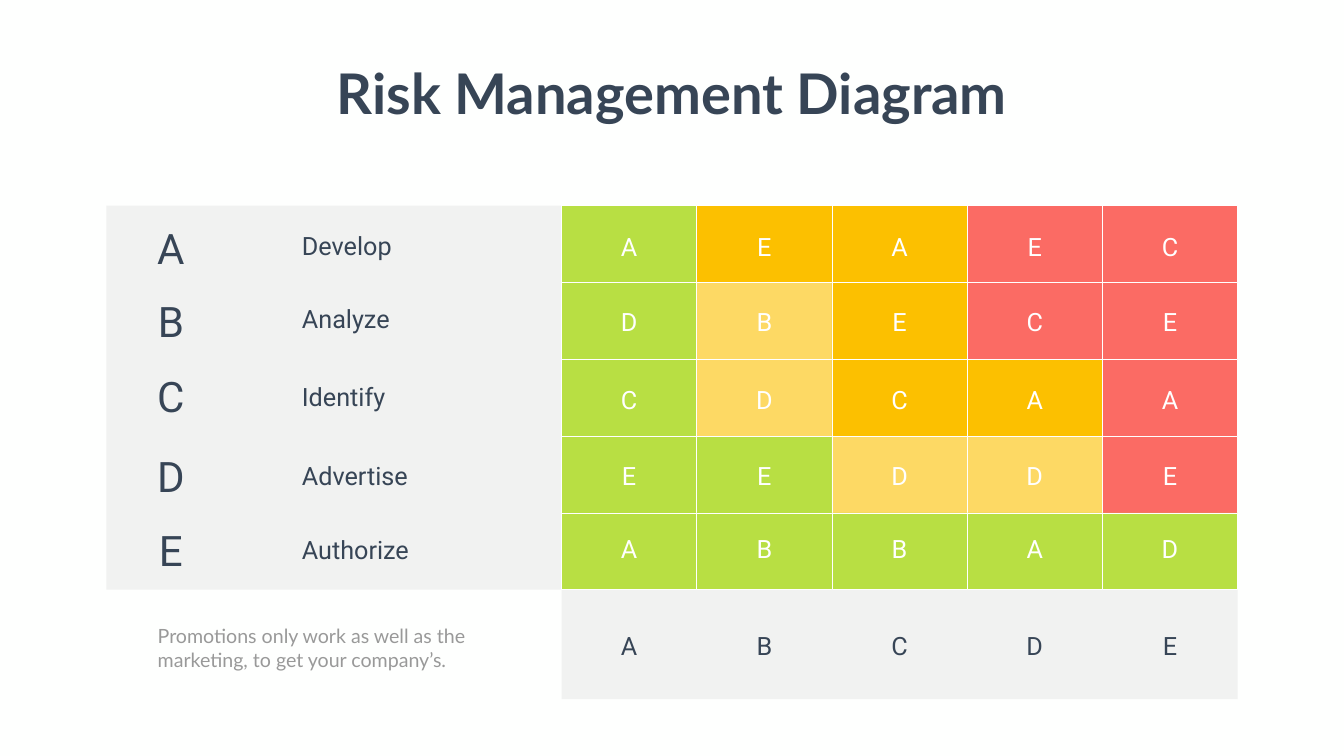
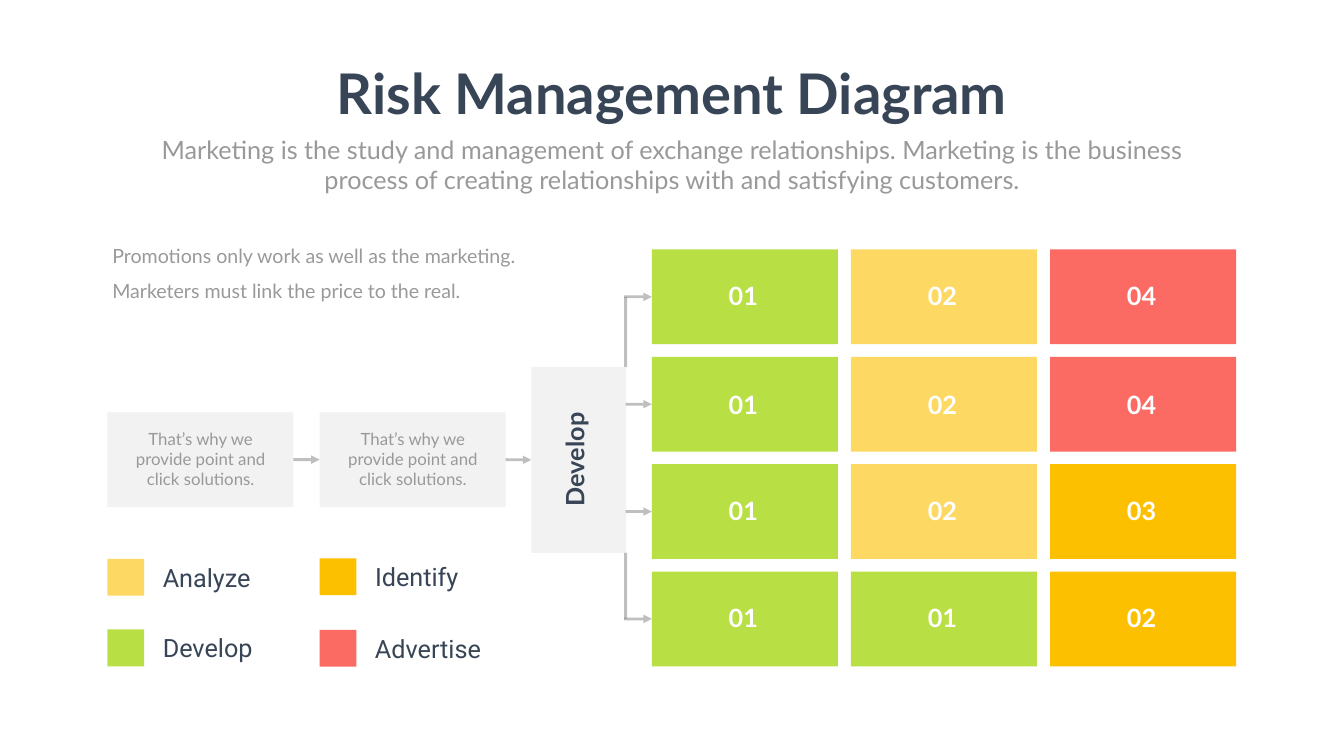
from lxml import etree
from pptx import Presentation
from pptx import util as u
from pptx.dml.color import RGBColor
from pptx.enum import shapes, text
from pptx.oxml.ns import qn

PX = 9144  # EMU in one px: 100 px to the inch

COLORS = {
    "paper": "FEFFFE", "white": "FFFFFF", "ink": "374556", "muted": "999999",
    "gray": "808080", "green": "B8DF43", "yellow": "FDD964",
    "amber": "FCC000", "red": "FB6B64",
}
LEVELS = {"G": "green", "Y": "yellow", "A": "amber", "R": "red"}

TITLE = "Risk Management Diagram"

# Risk matrix: (letter, letter top, name, name top)
STEPS = [
    ("A", 436, "Develop", 452),
    ("B", 581, "Analyze", 597),
    ("C", 731, "Identify", 751),
    ("D", 889, "Advertise", 908),
    ("E", 1036, "Authorize", 1055),
]
# (cell letters, cell levels, text top)
MATRIX_ROWS = [
    ("AEAEC", "GAARR", 454),
    ("DBECE", "GYARR", 603),
    ("CDCAA", "GYAAR", 757),
    ("EEDDE", "GGYYR", 909),
    ("ABBAD", "GGGGG", 1054),
]
MATRIX_FOOTER = "ABCDE"
MATRIX_NOTE = "Promotions only work as well as the marketing, to get your company’s."
MATRIX = (1114, 408, 1341, 762)

# Risk flow
SUBTITLE = ("Marketing is the study and management of exchange relationships. "
            "Marketing is the business process of creating relationships with "
            "and satisfying customers.")
FLOW_NOTE = ("Promotions only work as well as the marketing. "
             "Marketers must link the price to the real.")
STEP_TEXT = "That’s why we provide point and click solutions."
STEP_LEFTS = [213, 634]
# (cell numbers, cell levels, text top)
FLOW_ROWS = [
    (("01", "02", "04"), "GYR", 552),
    (("01", "02", "04"), "GYR", 768),
    (("01", "02", "03"), "GYA", 977),
    (("01", "01", "02"), "GGA", 1190),
]
# (name, level, left, swatch top, text width)
LEGEND = [
    ("Analyze", "Y", 213, 1109, 228),
    ("Identify", "A", 634, 1108, 228),
    ("Develop", "G", 213, 1249, 228),
    ("Advertise", "R", 634, 1250, 270),
]
BLOCK_WIDTH, BLOCK_HEIGHT = 369, 188
FLOW_LEFT, FLOW_TOP, FLOW_STEP_X, FLOW_STEP_Y = 1293, 495, 395, 213
HUB = (1054, 728, BLOCK_HEIGHT, BLOCK_WIDTH)
BRANCH_X = 1241


def emu(*lengths):
    return [round(length * PX) for length in lengths]


def rgb(name):
    return RGBColor.from_string(COLORS[name])


def set_alpha(color_parent, percent):
    color = next(color_parent.iter(qn("a:srgbClr")))
    etree.SubElement(color, qn("a:alpha")).set("val", str(percent * 1000))


def add_box(slide, box, color, alpha=None, outline=None):
    shape = slide.shapes.add_shape(shapes.MSO_SHAPE.RECTANGLE, *emu(*box))
    shape.shadow.inherit = False
    shape.fill.solid()
    shape.fill.fore_color.rgb = rgb(color)
    if alpha:
        set_alpha(shape._element.spPr, alpha)
    if outline:
        shape.line.color.rgb = rgb(outline)
        shape.line.width = u.Pt(1)
    else:
        shape.line.fill.background()
    return shape


def add_panel(slide, box):
    return add_box(slide, box, "gray", alpha=10)


def add_text(slide, box, words, size, color, font="Lato", bold=False,
             centered=True, wrap=True, spacing=None):
    shape = slide.shapes.add_textbox(*emu(*box))
    frame = shape.text_frame
    frame.word_wrap = wrap
    frame.auto_size = text.MSO_AUTO_SIZE.SHAPE_TO_FIT_TEXT
    paragraph = frame.paragraphs[0]
    paragraph.text = words
    paragraph.alignment = text.PP_ALIGN.CENTER if centered else text.PP_ALIGN.LEFT
    if spacing:
        paragraph.line_spacing = spacing
    paragraph.font.name = font
    paragraph.font.size = u.Pt(size)
    paragraph.font.bold = bold
    paragraph.font.color.rgb = rgb(color)
    return shape


def add_line(slide, start, end, source=None, target=None, arrow=True):
    """Draw a line, joined to source's right side and target's left side."""
    line = slide.shapes.add_connector(
        shapes.MSO_CONNECTOR.STRAIGHT, *emu(*start, *end))
    if source is not None:
        line.begin_connect(source, 3)
    if target is not None:
        line.end_connect(target, 1)
    line.line.color.rgb = rgb("gray")
    line.line.width = u.Pt(4)
    properties = line._element.spPr
    set_alpha(properties, 50)
    if arrow:
        outline = properties.find(qn("a:ln"))
        etree.SubElement(outline, qn("a:tailEnd")).set("type", "triangle")
    etree.SubElement(properties, qn("a:effectLst"))


def add_titled_slide(presentation):
    slide = presentation.slides.add_slide(presentation.slide_layouts[6])
    slide.background.fill.solid()
    slide.background.fill.fore_color.rgb = rgb("paper")
    add_text(slide, (646, 112, 1374, 145), TITLE, 80, "ink", bold=True, wrap=False)
    return slide


def build_matrix(presentation):
    slide = add_titled_slide(presentation)
    left, top, width, height = MATRIX
    cell_width, cell_height = width / 5, height / 5
    add_panel(slide, (left, top + height, width, 217))
    add_panel(slide, (211, top, 903, height))

    def add_letter(column, text_top, letter, color):
        box = (left + 32 + column * cell_width, text_top, 204, 71)
        add_text(slide, box, letter, 36, color, "Roboto")

    for row, (letters, levels, text_top) in enumerate(MATRIX_ROWS):
        for column, (letter, level) in enumerate(zip(letters, levels)):
            box = (left + column * cell_width, top + row * cell_height,
                   cell_width, cell_height)
            add_box(slide, box, LEVELS[level], outline="white")
            add_letter(column, text_top, letter, "white")
    for column, letter in enumerate(MATRIX_FOOTER):
        add_letter(column, 1246, letter, "ink")
    for letter, letter_top, name, name_top in STEPS:
        add_text(slide, (291, letter_top, 96, 116), letter, 60, "ink", "Roboto")
        add_text(slide, (589, name_top, 322, 74), name, 36, "ink", "Roboto",
                 centered=False)
    add_text(slide, (303, 1233, 649, 104), MATRIX_NOTE, 28, "muted", centered=False)


def build_flow(presentation):
    slide = add_titled_slide(presentation)
    add_text(slide, (292, 261, 2082, 131), SUBTITLE, 36, "muted")
    add_text(slide, (213, 456, 867, 142), FLOW_NOTE, 28, "muted",
             centered=False, spacing=1.5)

    chain = [add_panel(slide, (left, 818, BLOCK_WIDTH, BLOCK_HEIGHT))
             for left in STEP_LEFTS]
    chain.append(add_panel(slide, HUB))
    for source, target in zip(chain, chain[1:]):
        add_line(slide, (0, 0), (0, 0), source, target)
    for left in STEP_LEFTS:
        add_text(slide, (left + 40, 846, 290, 131), STEP_TEXT, 24, "muted")
    hub_label = add_text(slide, (1009, 876, 261, 71), "Develop", 36, "ink", bold=True)
    hub_label.rotation = 270

    last = len(FLOW_ROWS) - 1
    for row, (numbers, levels, text_top) in enumerate(FLOW_ROWS):
        top = FLOW_TOP + row * FLOW_STEP_Y
        middle = top + BLOCK_HEIGHT / 2
        for column, (number, level) in enumerate(zip(numbers, levels)):
            left = FLOW_LEFT + column * FLOW_STEP_X
            block = add_box(slide, (left, top, BLOCK_WIDTH, BLOCK_HEIGHT),
                            LEVELS[level])
            add_text(slide, (left + 51, text_top, 261, 71), number, 36, "white",
                     bold=True)
            if column == 0:
                start = BRANCH_X - 3 if row in (0, last) else BRANCH_X
                add_line(slide, (start, middle), (left, middle), target=block)
        if row in (0, last):
            hub_edge = HUB[1] if row == 0 else HUB[1] + HUB[3]
            add_line(slide, (BRANCH_X, middle), (BRANCH_X, hub_edge), arrow=False)

    for name, level, left, top, width in LEGEND:
        add_box(slide, (left, top, 73, 73), LEVELS[level])
        add_text(slide, (left + 100, top + 1, width, 71), name, 36, "ink", "Roboto",
                 centered=False)


def main():
    presentation = Presentation()
    presentation.slide_width, presentation.slide_height = emu(2666, 1500)
    build_matrix(presentation)
    build_flow(presentation)
    presentation.save("out.pptx")


if __name__ == "__main__":
    main()
